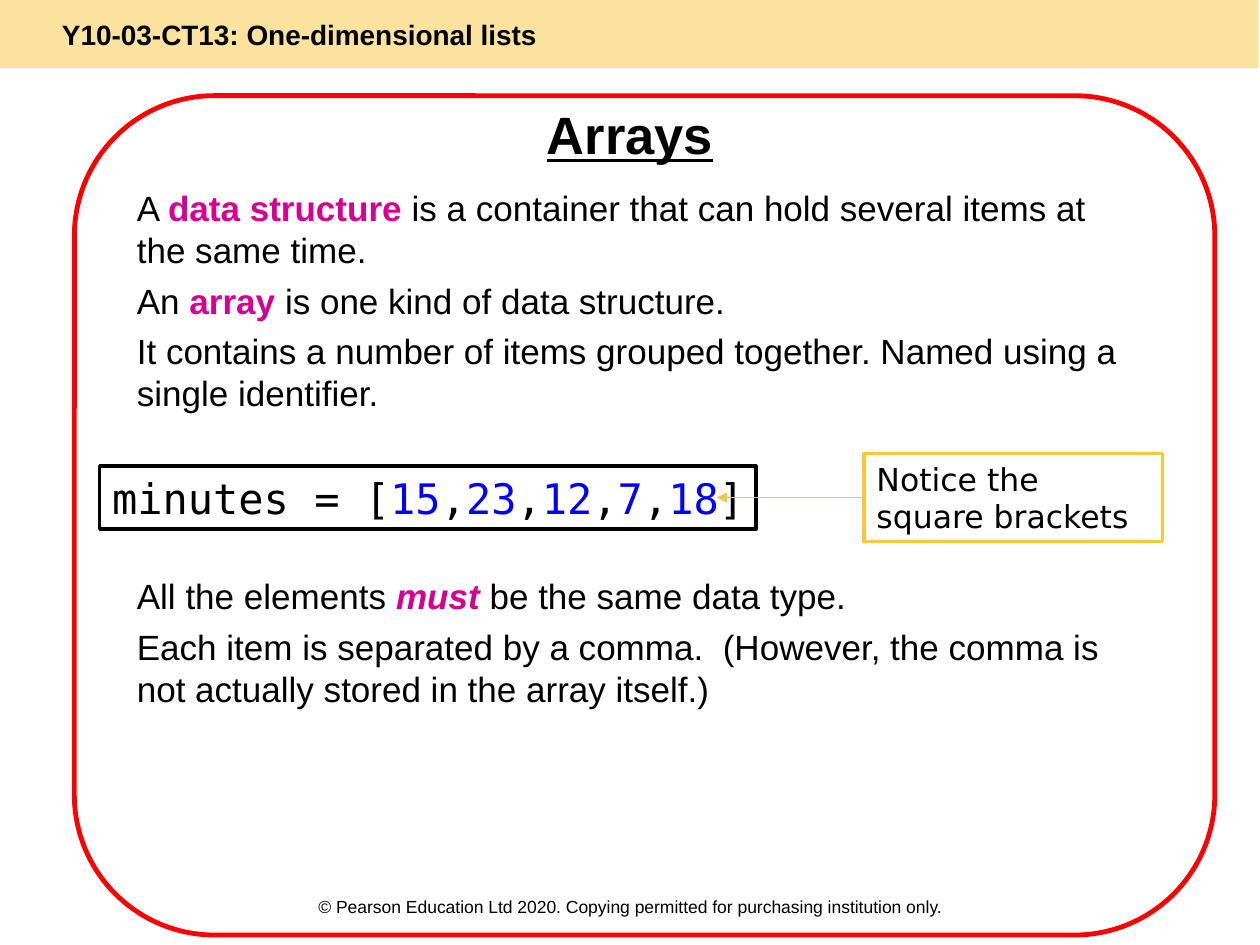
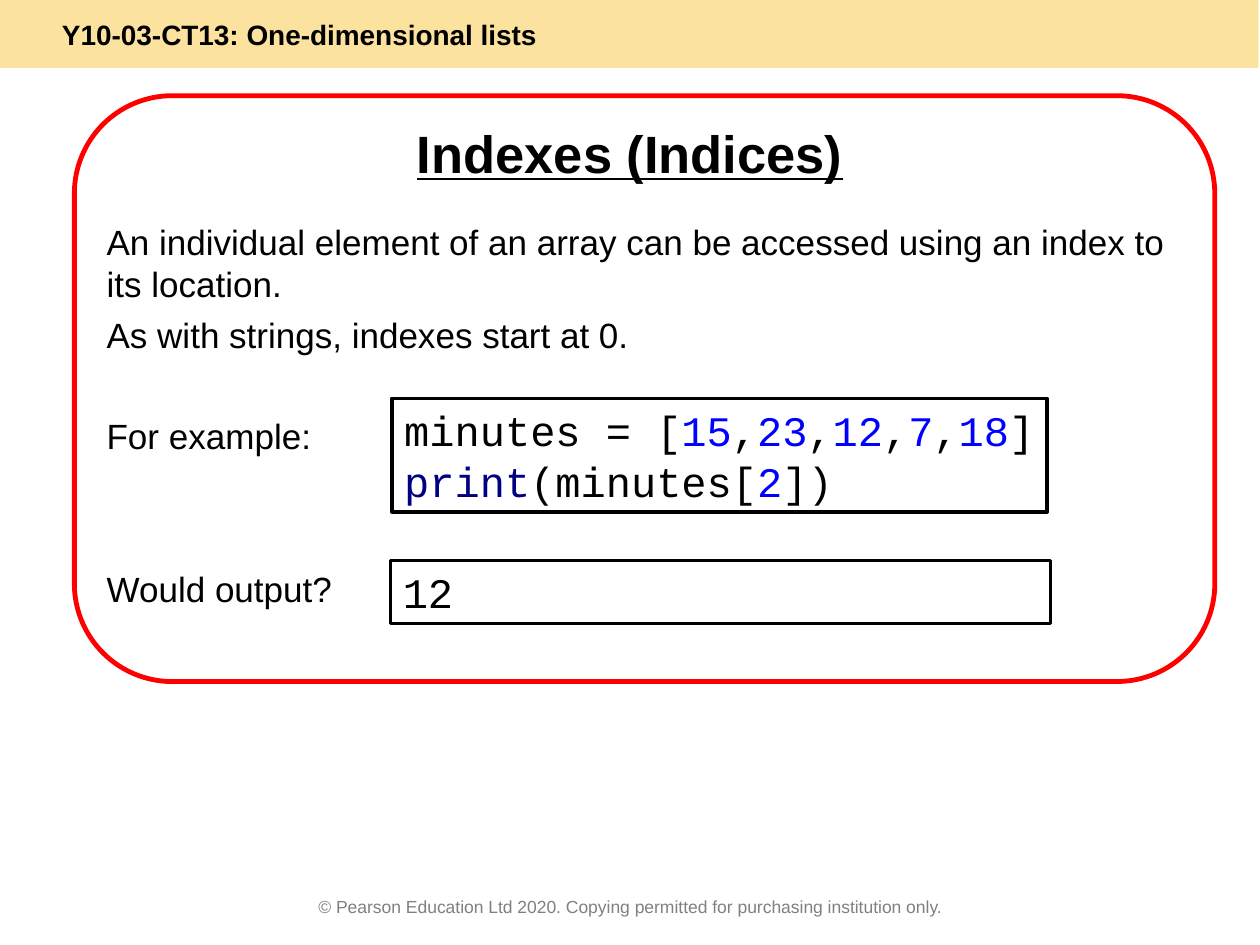
"""Build two teaching slides on arrays and their indexes."""
from lxml import etree
from pptx import Presentation
from pptx.dml.color import RGBColor
from pptx.enum.shapes import MSO_CONNECTOR as Connector, MSO_SHAPE as Shape
from pptx.enum.text import MSO_ANCHOR as Anchor, PP_ALIGN as Align
from pptx.oxml.ns import qn
from pptx.util import Cm, Pt

BLACK, WHITE, GREY = "000000", "FFFFFF", "808080"
AMBER, RED = "F9C73E", "FF0000"
STYLES = {
    "plain": {"color": BLACK},
    "grey": {"color": GREY},
    "bold": {"color": BLACK, "bold": True},
    "title": {"color": BLACK, "bold": True, "underline": True},
    "keyword": {"color": "D60093", "bold": True},
    "stressed": {"color": "D60093", "bold": True, "italic": True},
    "number": {"color": "0000FF"},
    "function": {"color": "000080"},
}
BLANK_LINE = 29


def add_box(slide, place, kind=Shape.RECTANGLE, fill=None, line=None, width=2):
    shape = slide.shapes.add_shape(kind, *[Cm(length) for length in place])
    shape.shadow.inherit = False
    if fill:
        shape.fill.solid()
        shape.fill.fore_color.rgb = RGBColor.from_string(fill)
    else:
        shape.fill.background()
    if line:
        shape.line.color.rgb = RGBColor.from_string(line)
        shape.line.width = Pt(width)
    else:
        shape.line.fill.background()
    return shape


def write(shape, paragraphs, size, font="Arial", align=Align.LEFT, anchor=Anchor.TOP, wrap=True):
    frame = shape.text_frame
    frame.word_wrap = wrap
    frame.vertical_anchor = anchor
    for index, (space, runs) in enumerate(paragraphs):
        paragraph = frame.add_paragraph() if index else frame.paragraphs[0]
        paragraph.alignment = align
        paragraph.space_before = Pt(space)
        paragraph.line_spacing = Pt(1.2 * size)
        for text, style in runs:
            run = paragraph.add_run()
            run.text = text
            run.font.name = font
            run.font.size = Pt(size)
            look = STYLES[style]
            run.font.color.rgb = RGBColor.from_string(look["color"])
            run.font.bold = look.get("bold", False)
            run.font.italic = look.get("italic", False)
            run.font.underline = look.get("underline", False)


array_code = [("minutes = [", "plain")]
for index, minutes in enumerate([15, 23, 12, 7, 18]):
    if index:
        array_code.append((",", "plain"))
    array_code.append((str(minutes), "number"))
array_code.append(("]", "plain"))
print_code = [("print", "function"), ("(minutes[", "plain"), ("2", "number"), ("])", "plain")]

arrays_body = [
    (0, [("A ", "plain"), ("data structure ", "keyword"),
         ("is a container that can hold several items at the same time.", "plain")]),
    (5, [("An ", "plain"), ("array", "keyword"), (" is one kind of data structure.", "plain")]),
    (5, [("It contains a number of items grouped together. Named using a single identifier.", "plain")]),
    (5 + 3 * BLANK_LINE, [("All the elements ", "plain"), ("must", "stressed"),
                          (" be the same data type.", "plain")]),
    (5, [("Each item is separated by a comma.\u00a0 (However, the comma is not actually stored "
          "in the array itself.)".replace("\u00a0", " "), "plain")]),
]
indexes_body = [
    (0, [("An individual element of an array can be accessed using an index to its location.", "plain")]),
    (5, [("As with strings, indexes start at 0.", "plain")]),
    (5 + BLANK_LINE, [("For example:", "plain")]),
    (5 + 2 * BLANK_LINE, [("Would output?", "plain")]),
]

pages = [
    {"title": "Arrays", "title_top": 1.93, "footer": "plain", "frame_height": 16.92,
     "body": arrays_body, "body_place": (2.51, 3.63, 20.6, 13.69),
     "code": [(0, array_code)], "code_place": (2.01, 9.4, 13.23, 1.27), "code_font": "DejaVu Sans Mono"},
    {"title": "Indexes (Indices)", "title_top": 2.31, "footer": "grey", "frame_height": 11.81,
     "body": indexes_body, "body_place": (1.9, 4.32, 22.2, 11.81),
     "code": [(0, array_code), (0, print_code)], "code_place": (7.9, 8.03, 13.21, 2.29),
     "code_font": "Courier New"},
]

presentation = Presentation()
presentation.slide_width, presentation.slide_height = Cm(25.4), Cm(19.05)
slides = []
for page in pages:
    slide = presentation.slides.add_slide(presentation.slide_layouts[6])
    slides.append(slide)

    band = add_box(slide, (0, 0, 25.37, 1.37), fill=AMBER)
    color = band.fill._xPr.find(".//" + qn("a:srgbClr"))
    etree.SubElement(color, qn("a:alpha"), val="50000")
    write(band, [(0, [("Y10-03-CT13: One-dimensional lists", "bold")])], 16, anchor=Anchor.MIDDLE)
    band.text_frame.margin_left = Cm(1.25)

    footer = slide.shapes.add_textbox(Cm(0), Cm(17.93), Cm(25.4), Cm(0.79))
    notice = "© Pearson Education Ltd 2020. Copying permitted for purchasing institution only."
    write(footer, [(0, [(notice, page["footer"])])], 10, align=Align.CENTER)

    title = slide.shapes.add_textbox(Cm(1.27), Cm(page["title_top"]), Cm(22.86), Cm(2.39))
    write(title, [(0, [(page["title"], "title")])], 30, align=Align.CENTER)

    body = slide.shapes.add_textbox(*[Cm(length) for length in page["body_place"]])
    write(body, page["body"], 20)

    code = add_box(slide, page["code_place"], fill=WHITE, line=BLACK)
    write(code, page["code"], 24, page["code_font"], anchor=Anchor.MIDDLE, wrap=False)

    frame = add_box(slide, (1.5, 1.93, 22.99, page["frame_height"]), Shape.ROUNDED_RECTANGLE,
                    line=RED, width=2.75)
    frame.adjustments[0] = 0.167

arrays_slide, indexes_slide = slides
callout = add_box(arrays_slide, (17.42, 9.14, 6.02, 1.78), fill=WHITE, line=AMBER)
write(callout, [(0, [("Notice the square brackets", "plain")])], 18, "DejaVu Sans")

arrow = arrays_slide.shapes.add_connector(Connector.STRAIGHT, Cm(17.42), Cm(10.03), Cm(14.45), Cm(10.03))
arrow.begin_connect(callout, 1)
arrow.line.color.rgb = RGBColor.from_string(AMBER)
arrow.line.width = Pt(0.75)
etree.SubElement(arrow.line._get_or_add_ln(), qn("a:tailEnd"), type="triangle")
etree.SubElement(arrow._element.spPr, qn("a:effectLst"))

output = add_box(indexes_slide, (7.87, 11.3, 13.31, 1.27), fill=WHITE, line=BLACK)
write(output, [(0, [("12", "plain")])], 24, "Courier New")

presentation.save("out.pptx")
